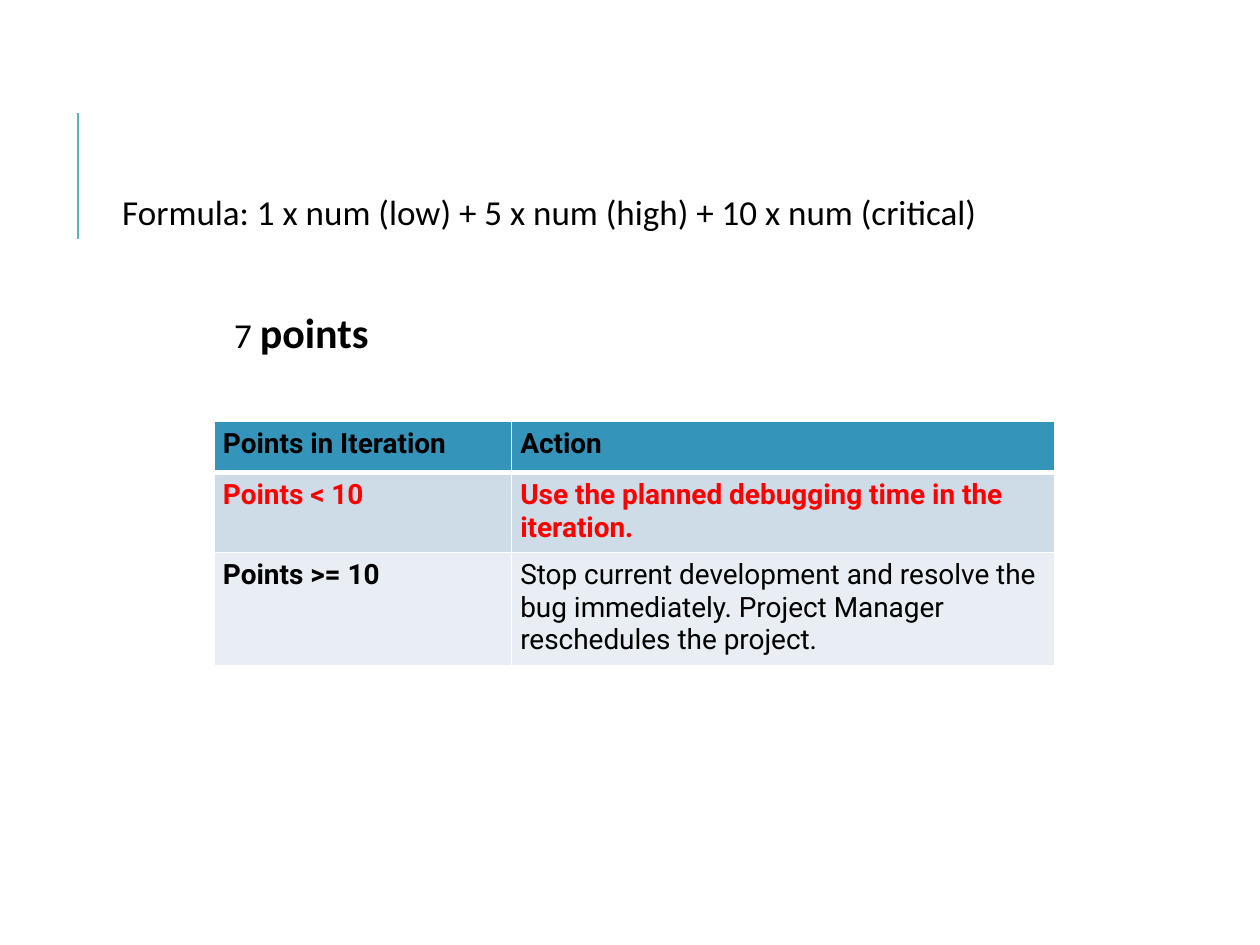
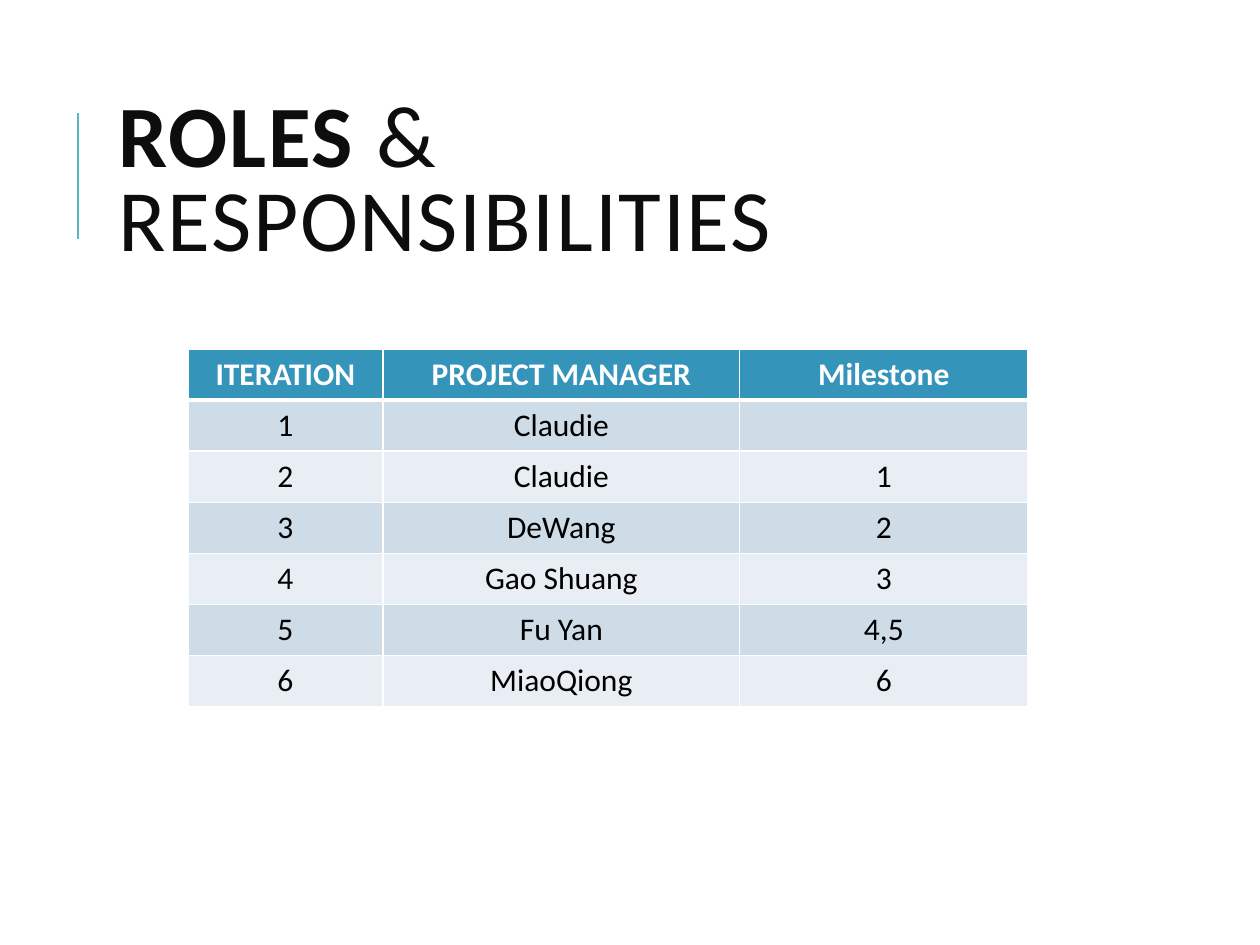
from dataclasses import dataclass
from typing import NamedTuple

from lxml.etree import SubElement as Sub
from pptx import Presentation
from pptx.dml.color import RGBColor
from pptx.enum.shapes import MSO_CONNECTOR as Link
from pptx.enum.text import MSO_ANCHOR as Anchor, MSO_AUTO_SIZE as Fit, PP_ALIGN as Align
from pptx.oxml.ns import qn
from pptx.util import Inches, Pt

TEAL, BLUE = "58B6C0", "3494BA"
BANDS = ("CEDCE7", "E8EEF3")
BLACK, INK, WHITE, RED = "000000", "0D0D0D", "FFFFFF", "FF0000"
SANS, TABLE = "Calibri", "Roboto"


class Run(NamedTuple):
    text: str
    size: float
    color: str = BLACK
    bold: bool = False
    font: str = SANS


class Cell(NamedTuple):
    text: str
    color: str = BLACK
    bold: bool = False


@dataclass
class Grid:
    left: float
    top: float
    cols: list[float]
    rows: list[float]
    cells: list[list[Cell]]
    font: str
    size: float
    align: Align


def paint(code: str) -> RGBColor:
    return RGBColor.from_string(code)


def style(font, look: Run) -> None:
    font.name, font.size, font.bold = look.font, Pt(look.size), look.bold
    font.color.rgb = paint(look.color)


def write(par, looks: list[Run], gap: int = 0) -> None:
    for look in looks:
        run = par.add_run()
        run.text = look.text
        if len(looks) > 1:
            style(run.font, look)
        if gap:
            run._r.get_or_add_rPr().set("spc", str(gap))
    if len(looks) == 1:
        style(par.font, looks[0])


def place(shape, left: float, top: float, width: float, height: float) -> None:
    shape.left, shape.top = Inches(left), Inches(top)
    shape.width, shape.height = Inches(width), Inches(height)


def add_rule(slide) -> None:
    x = Inches(0.62)
    rule = slide.shapes.add_connector(Link.STRAIGHT, x, Inches(1.9), x, Inches(0.9))
    rule.line.color.rgb = paint(TEAL)
    rule.line.width = Pt(1.5)
    Sub(rule._element.spPr, qn("a:effectLst"))


def edge(cell, side: str, width: float) -> None:
    props = cell._tc.get_or_add_tcPr()
    line = Sub(props, qn(f"a:ln{side}"), w=str(Pt(width)))
    fill = Sub(line, qn("a:solidFill"))
    Sub(fill, qn("a:srgbClr"), val=WHITE)


def add_grid(slide, grid: Grid) -> None:
    frame = slide.shapes.add_table(
        len(grid.rows), len(grid.cols), Inches(grid.left), Inches(grid.top),
        Inches(sum(grid.cols)), Inches(sum(grid.rows)))
    table = frame.table
    for col, width in zip(table.columns, grid.cols):
        col.width = Inches(width)
    for row, height in zip(table.rows, grid.rows):
        row.height = Inches(height)
    for r, line in enumerate(grid.cells):
        for c, data in enumerate(line):
            cell = table.cell(r, c)
            cell.margin_left = cell.margin_right = Inches(0.07)
            cell.margin_top = cell.margin_bottom = Inches(0.05)
            for side, width in zip("LRTB", (1, 1, 3 if r == 1 else 1, 1 if r else 3)):
                edge(cell, side, width)
            cell.fill.solid()
            cell.fill.fore_color.rgb = paint(BANDS[(r - 1) % 2] if r else BLUE)
            par = cell.text_frame.paragraphs[0]
            par.alignment = grid.align
            if data.text:
                write(par, [Run(data.text, grid.size, data.color, data.bold, grid.font)])


def add_points(deck) -> None:
    slide = deck.slides.add_slide(deck.slide_layouts[1])
    title = slide.shapes.title._element
    title.getparent().remove(title)
    add_rule(slide)

    body = slide.placeholders[1]
    place(body, 0.82, 1.5, 7.97, 4.4)
    text = body.text_frame
    text.auto_size = Fit.NONE
    text.margin_left = text.margin_right = Inches(0.05)
    text.margin_top = text.margin_bottom = Inches(0.05)
    par = text.paragraphs[0]
    par.line_spacing, par.space_before, par.space_after = 0.9, Pt(0), Pt(2)
    props = par._p.get_or_add_pPr()
    props.set("marL", str(Inches(0.1)))
    props.set("indent", "0")
    Sub(props, qn("a:buNone"))
    write(par, [Run("Formula: 1 x num (low) + 5 x num (high) + 10 x num (critical)", 20)])

    score = slide.shapes.add_textbox(Inches(1.76), Inches(2.38), Inches(6.73), Inches(0.5))
    score.text_frame.word_wrap = True
    score.text_frame.auto_size = Fit.SHAPE_TO_FIT_TEXT
    write(score.text_frame.paragraphs[0], [Run("7 ", 20), Run("points", 24, bold=True)])

    cells = [
        [Cell("Points in Iteration", bold=True), Cell("Action", bold=True)],
        [Cell("Points < 10", RED, True),
         Cell("Use the planned debugging time in the iteration.", RED, True)],
        [Cell("Points >= 10", bold=True),
         Cell("Stop current development and resolve the bug immediately. "
              "Project Manager reschedules the project.")],
    ]
    add_grid(slide, Grid(1.7, 3.34, [2.36, 4.31], [0.41, 0.62, 0.9],
                         cells, TABLE, 16, Align.LEFT))


def add_roles(deck) -> None:
    slide = deck.slides.add_slide(deck.slide_layouts[5])
    add_rule(slide)

    title = slide.shapes.title
    place(title, 0.84, 0.64, 7.97, 1.64)
    text = title.text_frame
    text.auto_size = Fit.NONE
    text.vertical_anchor = Anchor.MIDDLE
    par = text.paragraphs[0]
    par.alignment, par.line_spacing = Align.LEFT, 0.8
    write(par, [Run("ROLES", 50, INK, True), Run(" & RESPONSIBILITIES", 50, INK)], gap=100)

    heads = ("ITERATION", "PROJECT MANAGER", "Milestone")
    turns = (("Claudie", ""), ("Claudie", "1"), ("DeWang", "2"),
             ("Gao Shuang", "3"), ("Fu Yan", "4,5"), ("MiaoQiong", "6"))
    cells = [[Cell(head, WHITE, True) for head in heads]]
    cells += [[Cell(str(num)), Cell(name), Cell(mark)]
              for num, (name, mark) in enumerate(turns, 1)]
    add_grid(slide, Grid(1.49, 2.77, [1.55, 2.83, 2.29], [0.4] * len(cells),
                         cells, SANS, 18, Align.CENTER))


def main() -> None:
    deck = Presentation()
    deck.slide_width, deck.slide_height = Inches(10), Inches(7.5)
    add_points(deck)
    add_roles(deck)
    deck.save("out.pptx")


if __name__ == "__main__":
    main()
